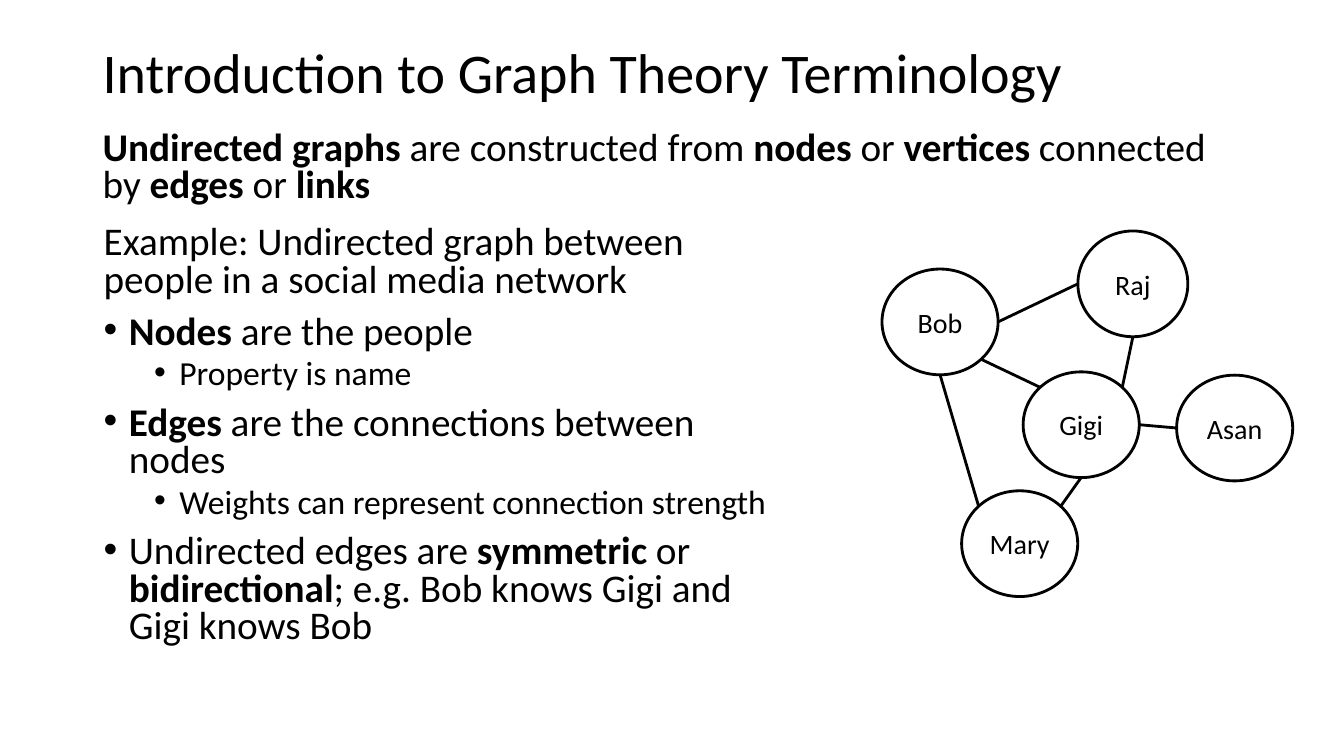
from math import cos, radians, sin
from lxml.etree import SubElement
from pptx import Presentation
from pptx.dml.color import RGBColor
from pptx.enum.shapes import MSO_CONNECTOR, MSO_SHAPE
from pptx.enum.text import MSO_ANCHOR, PP_ALIGN
from pptx.oxml.ns import qn
from pptx.util import Inches, Pt

BLACK = RGBColor(0, 0, 0)
WHITE = RGBColor(255, 255, 255)
WIDE, HIGH = Inches(13.33), Inches(7.5)

TITLE = [("Introduction to Graph Theory Terminology", "title")]
LEAD = [("*Undirected graphs* are constructed from *nodes* or *vertices* "
         "connected by *edges *or* links*", "plain")]
BODY = [
    ("Example: Undirected graph between people in a social media network", "plain"),
    ("*Nodes* are the people", "point"),
    ("Property is name", "detail"),
    ("*Edges* are the connections between nodes", "point"),
    ("Weights can represent connection strength", "detail"),
    ("Undirected edges are *symmetric* or *bidirectional*; "
     "e.g. Bob knows Gigi and Gigi knows Bob", "point"),
]
STYLES = {
    "title": {"size": 40, "indent": 0, "para": {"line_spacing": 0.9}},
    "plain": {"size": 28, "indent": 0,
              "para": {"line_spacing": 0.8, "space_before": Pt(10)}},
    "point": {"size": 28, "indent": 0.25,
              "para": {"line_spacing": 0.8, "space_before": Pt(10)}},
    "detail": {"size": 24, "indent": 0.75,
               "para": {"line_spacing": 0.8, "space_before": Pt(5), "level": 1}},
    "node": {"size": 20, "indent": 0, "para": {"alignment": PP_ALIGN.CENTER}},
}

NODES = {
    "Bob": (14.1, 24.9, 28.3),
    "Raj": (61.1, 14.5, 26.8),
    "Mary": (33.5, 85.5, 28.3),
    "Gigi": (48.5, 53, 28.3),
    "Asan": (85.9, 53.9, 28.3),
}
TALL = 28.9
EDGES = [
    ("Bob", 0, "Raj", 180),
    ("Gigi", -45, "Raj", 90),
    ("Gigi", 0, "Asan", 180),
    ("Mary", -45, "Gigi", 90),
    ("Mary", -135, "Bob", 90),
    ("Gigi", -135, "Bob", 45),
]


def style(item, values):
    for name, value in values.items():
        setattr(item, name, value)


def area(left, top, width, height):
    return [round(share * side / 100) for share, side in
            zip((left, top, width, height), (WIDE, HIGH, WIDE, HIGH))]


def bullet(para, indent):
    props = para._p.get_or_add_pPr()
    props.set("marL", str(Inches(indent)))
    props.set("indent", str(Inches(-0.25)))
    SubElement(props, qn("a:buFont")).set("typeface", "Arial")
    SubElement(props, qn("a:buChar")).set("char", "•")


def write(frame, lines, anchor):
    style(frame, {"word_wrap": True, "vertical_anchor": anchor})
    for row, (text, kind) in enumerate(lines):
        para = frame.add_paragraph() if row else frame.paragraphs[0]
        look = STYLES[kind]
        style(para, look["para"])
        if look["indent"]:
            bullet(para, look["indent"])
        for turn, part in enumerate(text.split("*")):
            if part:
                run = para.add_run()
                run.text = part
                style(run.font, {"name": "Calibri", "size": Pt(look["size"]),
                                 "bold": turn % 2 == 1})
                run.font.color.rgb = BLACK


def add_text(slide, box, lines, anchor=MSO_ANCHOR.TOP):
    write(slide.shapes.add_textbox(*box).text_frame, lines, anchor)


def ink(line):
    line.color.rgb = BLACK
    line.width = Pt(2)


def add_graph(slide, box):
    left, top, width, height = box

    def spot(name, angle):
        x, y, size = NODES[name]
        turn = radians(angle)
        return (round(left + width * (x + size / 2 * cos(turn)) / 100),
                round(top + height * (y + TALL / 2 * sin(turn)) / 100))

    for name, (x, y, size) in NODES.items():
        node = slide.shapes.add_shape(
            MSO_SHAPE.OVAL,
            round(left + width * (x - size / 2) / 100),
            round(top + height * (y - TALL / 2) / 100),
            round(width * size / 100), round(height * TALL / 100))
        node.shadow.inherit = False
        node.fill.background()
        ink(node.line)
        write(node.text_frame, [(name, "node")], MSO_ANCHOR.MIDDLE)

    for start, out, end, into in EDGES:
        edge = slide.shapes.add_connector(
            MSO_CONNECTOR.STRAIGHT, *spot(start, out), *spot(end, into))
        ink(edge.line)
        SubElement(edge._element.spPr, qn("a:effectLst"))


def main():
    deck = Presentation()
    style(deck, {"slide_width": WIDE, "slide_height": HIGH})
    slide = deck.slides.add_slide(deck.slide_layouts[6])
    slide.background.fill.solid()
    slide.background.fill.fore_color.rgb = WHITE
    add_text(slide, area(6.9, 3.2, 86.27, 13.6), TITLE, MSO_ANCHOR.MIDDLE)
    add_text(slide, area(6.9, 16.67, 86.27, 12.53), LEAD)
    add_text(slide, area(6.98, 29.2, 52.89, 64.67), BODY)
    add_graph(slide, area(65.64, 30.53, 30.53, 48.4))
    deck.save("out.pptx")


if __name__ == "__main__":
    main()
